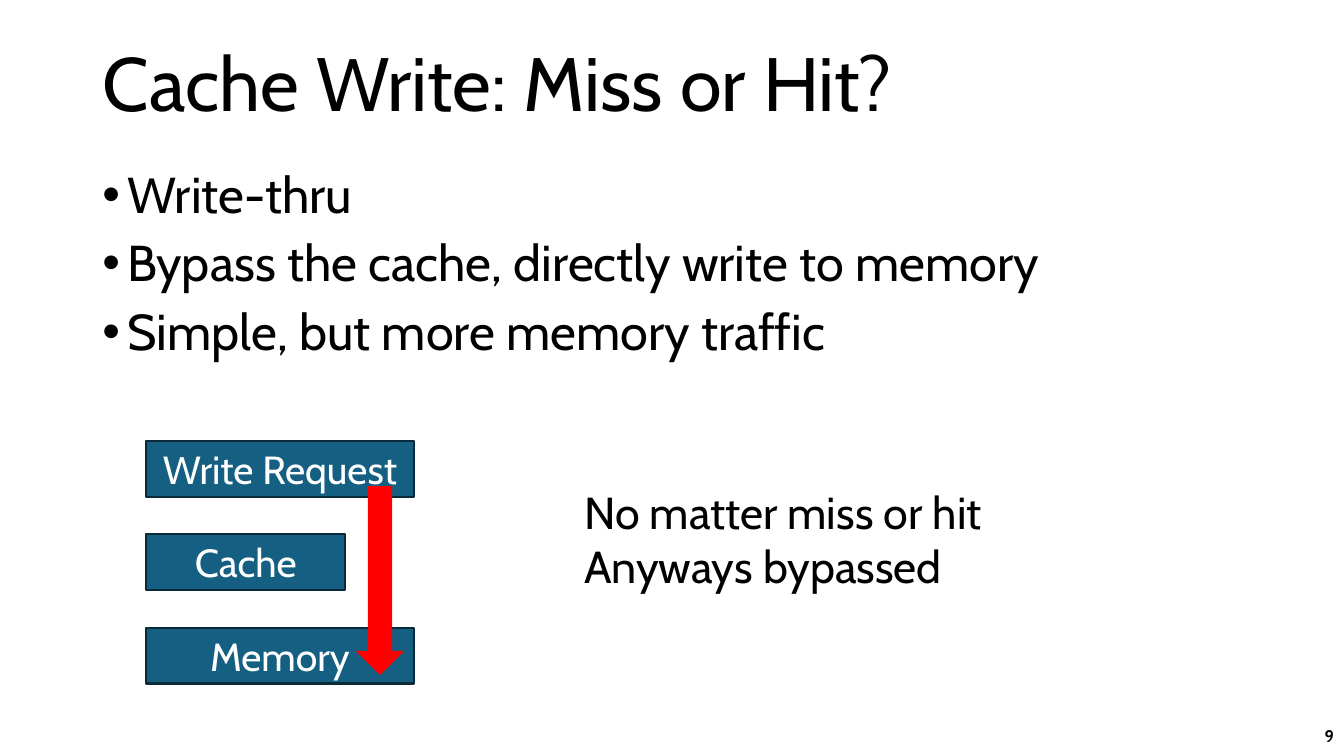
from lxml.etree import SubElement as Sub
from pptx import Presentation
from pptx.dml.color import RGBColor as Rgb
from pptx.enum.shapes import MSO_SHAPE as Kind
from pptx.enum.text import MSO_ANCHOR as Anchor, MSO_AUTO_SIZE as Fit, PP_ALIGN as Align
from pptx.oxml.ns import qn
from pptx.util import Pt

PX = 9525
FONT = "Cabin"
HUES = {"ink": "000000", "paper": "FFFFFF", "box": "156082", "edge": "092A39", "flow": "FF0000"}


def px(*nums):
    return [num * PX for num in nums]


def hue(name):
    return Rgb.from_string(HUES[name])


def write(shape, text, size, tint="ink", align=Align.LEFT, anchor=Anchor.TOP, bold=False):
    frame = shape.text_frame
    frame.text = text
    frame.word_wrap = True
    frame.auto_size = Fit.NONE
    frame.vertical_anchor = anchor
    for para in frame.paragraphs:
        para.alignment = align
        for run in para.runs:
            run.font.name = FONT
            run.font.size = Pt(size)
            run.font.bold = bold
            run.font.color.rgb = hue(tint)
    return frame


def add_block(slide, kind, box, fill, edge=None):
    shape = slide.shapes.add_shape(kind, *px(*box))
    shape.shadow.inherit = False
    shape.fill.solid()
    shape.fill.fore_color.rgb = hue(fill)
    if edge:
        shape.line.color.rgb = hue(edge)
        shape.line.width = Pt(1.5)
    else:
        shape.line.fill.background()
    return shape


def add_title(slide, box, text):
    title = slide.shapes.title
    title.left, title.top, title.width, title.height = px(*box)
    frame = write(title, text, 54, anchor=Anchor.MIDDLE)
    frame.paragraphs[0].line_spacing = 0.9


def add_list(slide, box, items):
    body = slide.shapes.add_textbox(*px(*box))
    frame = write(body, "\n".join(items), 36)
    for rank, para in enumerate(frame.paragraphs):
        para.line_spacing = 0.9
        para.space_before = Pt(10 if rank else 0)
        props = para._p.get_or_add_pPr()
        props.set("marL", str(24 * PX))
        props.set("indent", str(-24 * PX))
        Sub(props, qn("a:buFont"), typeface="Arial")
        Sub(props, qn("a:buChar"), char="•")


def add_flow(slide, box):
    left, top, width, height = box
    tall = 53
    step = (height - tall) // 2
    stages = [("Write Request", width), ("Cache", width - 65), ("Memory", width)]
    for rank, (name, wide) in enumerate(stages):
        spot = left, top + rank * step, wide, tall
        block = add_block(slide, Kind.RECTANGLE, spot, "box", "edge")
        write(block, name, 28, "paper", Align.CENTER, Anchor.MIDDLE)
    add_block(slide, Kind.DOWN_ARROW, (left + 200, top + 43, 46, 180), "flow")


def add_note(slide, box, lines):
    write(slide.shapes.add_textbox(*px(*box)), "\n".join(lines), 32)


def add_number(slide, box, text):
    label = slide.shapes.add_textbox(*px(*box))
    write(label, text, 12, align=Align.RIGHT, anchor=Anchor.MIDDLE, bold=True)


def main():
    deck = Presentation()
    deck.slide_width, deck.slide_height = px(1280, 720)
    slide = deck.slides.add_slide(deck.slide_layouts[5])
    add_title(slide, (88, 13, 1104, 139), "Cache Write: Miss or Hit?")
    add_list(slide, (88, 157, 1045, 457), [
        "Write-thru",
        "Bypass the cache, directly write to memory",
        "Simple, but more memory traffic",
    ])
    add_number(slide, (992, 682, 288, 38), "9")
    add_flow(slide, (139, 420, 255, 231))
    add_note(slide, (547, 457, 444, 113), ["No matter miss or hit", "Anyways bypassed"])
    deck.save("out.pptx")


if __name__ == "__main__":
    main()
